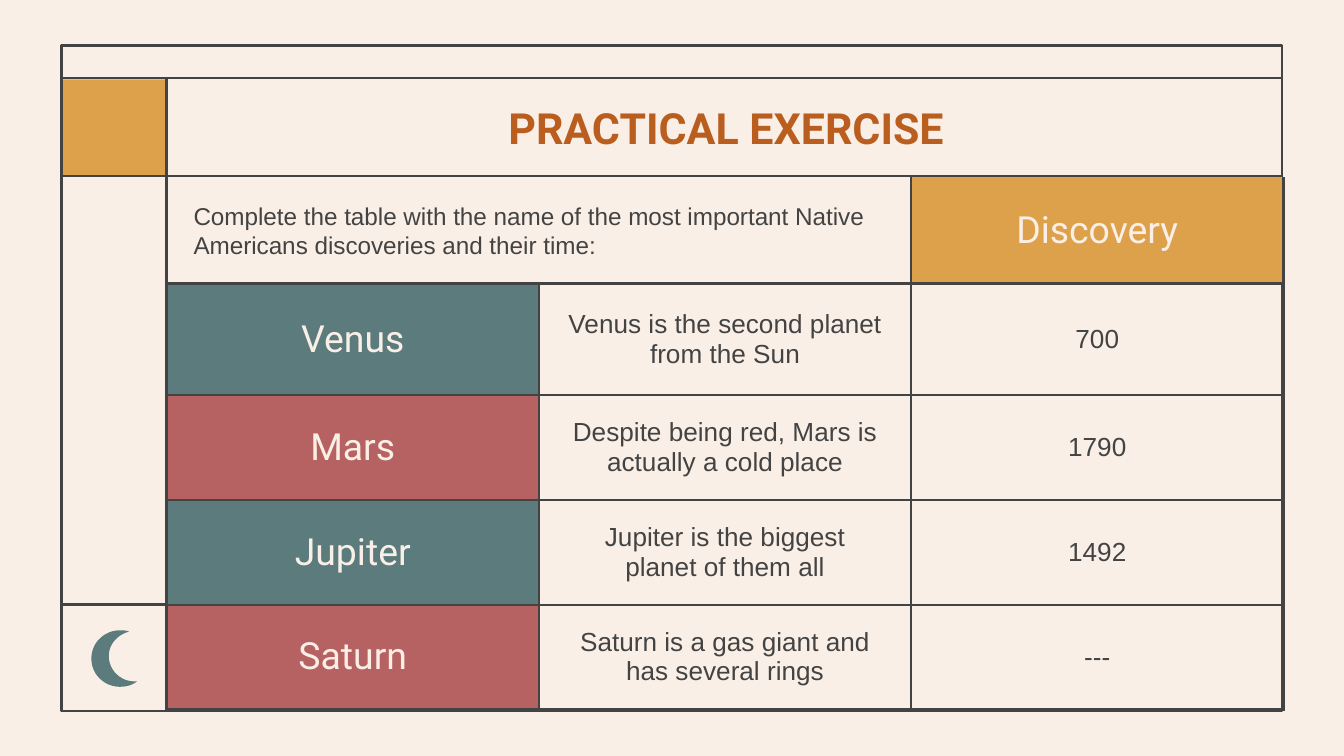
from lxml import etree
from pptx import Presentation
from pptx.dml.color import RGBColor
from pptx.enum.shapes import MSO_CONNECTOR, MSO_SHAPE
from pptx.enum.text import MSO_ANCHOR, PP_ALIGN
from pptx.oxml.ns import qn
from pptx.util import Inches, Pt

RECTANGLE, STRAIGHT = MSO_SHAPE.RECTANGLE, MSO_CONNECTOR.STRAIGHT
MIDDLE, LEFT, CENTER = MSO_ANCHOR.MIDDLE, PP_ALIGN.LEFT, PP_ALIGN.CENTER

# Content
CREAM, INK, GOLD = "FAEFE6", "434343", "DDA14B"
TEAL, ROSE, RUST = "5B7B7C", "B76262", "BA5E20"
TITLE = "PRACTICAL EXERCISE"
TASK = ("Complete the table with the name of the most important Native "
        "Americans discoveries and their time:")
ROWS = [
    ("", "", "Discovery"),
    ("Venus", "Venus is the second planet from the Sun", "700"),
    ("Mars", "Despite being red, Mars is actually a cold place", "1790"),
    ("Jupiter", "Jupiter is the biggest planet of them all", "1492"),
    ("Saturn", "Saturn is a gas giant and has several rings", "---"),
]

# Formats
TITLE_FORMAT = {"size": Pt(23), "name": "Roboto", "color": RUST, "bold": True}
LABEL_FORMAT = {"size": Pt(20), "name": "Roboto", "color": CREAM}
BODY_FORMAT = {"size": Pt(14), "name": "Arial", "color": INK}
TASK_FORMAT = {**BODY_FORMAT, "size": Pt(13)}

# Layout: a 16:9 page
PAGE_WIDTH = 10
PAGE_HEIGHT = PAGE_WIDTH * 9 / 16
FRAME_LEFT, FRAME_TOP, FRAME_WIDTH, FRAME_HEIGHT = 0.46, 0.34, 9.08, 4.95
FRAME_RIGHT, FRAME_BOTTOM = FRAME_LEFT + FRAME_WIDTH, FRAME_TOP + FRAME_HEIGHT
SIDE, TITLE_TOP, TABLE_TOP, MOON_TOP = 1.24, 0.58, 1.31, 4.5
COLUMN_WIDTH, ROW_HEIGHTS = 2.77, [0.79, 0.83, 0.78, 0.78, 0.78]
LINE_WIDTH = Pt(1.5)
LINES = [
    (SIDE, TITLE_TOP, SIDE, FRAME_BOTTOM),
    (FRAME_LEFT, MOON_TOP, SIDE, MOON_TOP),
    (FRAME_LEFT, TITLE_TOP, FRAME_RIGHT, TITLE_TOP),
    (FRAME_LEFT, TABLE_TOP, FRAME_RIGHT, TABLE_TOP),
]
MOON_START = (1.02, 5.07)
MOON_CURVES = [
    ((0.98, 5.1), (0.94, 5.11), (0.89, 5.11)),
    ((0.78, 5.11), (0.68, 5.02), (0.68, 4.9)),
    ((0.68, 4.78), (0.78, 4.69), (0.89, 4.69)),
    ((0.92, 4.69), (0.94, 4.69), (0.96, 4.7)),
    ((0.88, 4.72), (0.81, 4.79), (0.81, 4.88)),
    ((0.81, 4.99), (0.9, 5.07), (1, 5.07)),
    ((1.01, 5.07), (1.01, 5.07), (1.02, 5.07)),
]


def rgb(value):
    return RGBColor.from_string(value)


def paint(fill, color):
    fill.solid()
    fill.fore_color.rgb = rgb(color)


def write(frame, text, style, align):
    para = frame.paragraphs[0]
    para.alignment = align
    span = para.add_run()
    span.text = text
    for key, value in style.items():
        if key == "color":
            span.font.color.rgb = rgb(value)
        else:
            setattr(span.font, key, value)


def set_margins(target, side):
    target.margin_left = target.margin_right = Inches(side)
    target.margin_top = target.margin_bottom = Inches(0.1)


def add_rectangle(page, left, top, width, height, fill=None, line=None):
    box = page.shapes.add_shape(RECTANGLE, *map(Inches, (left, top, width, height)))
    box.shadow.inherit = False
    if fill:
        paint(box.fill, fill)
    else:
        box.fill.background()
    if line:
        box.line.color.rgb = rgb(line)
        box.line.width = LINE_WIDTH
    else:
        box.line.fill.background()


def add_text(page, left, top, width, height, text, style, align, indent):
    box = page.shapes.add_textbox(*map(Inches, (left, top, width, height)))
    frame = box.text_frame
    frame.word_wrap = True
    frame.vertical_anchor = MIDDLE
    set_margins(frame, 0.1)
    frame.margin_left = Inches(indent)
    write(frame, text, style, align)


def add_line(page, *ends):
    line = page.shapes.add_connector(STRAIGHT, *map(Inches, ends))
    line.line.color.rgb = rgb(INK)
    line.line.width = LINE_WIDTH
    etree.SubElement(line._element.spPr, qn("a:effectLst"))


def add_moon(page):
    points, start = [], MOON_START
    for first, second, end in MOON_CURVES:
        for step in range(1, 13):
            t = step / 12
            weights = ((1 - t) ** 3, 3 * t * (1 - t) ** 2, 3 * t * t * (1 - t), t ** 3)
            corners = (start, first, second, end)
            points.append(tuple(Inches(sum(w * p[axis] for w, p in zip(weights, corners)))
                                for axis in (0, 1)))
        start = end
    builder = page.shapes.build_freeform(*map(Inches, MOON_START))
    builder.add_line_segments(points, close=True)
    moon = builder.convert_to_shape()
    moon.shadow.inherit = False
    paint(moon.fill, TEAL)
    moon.line.fill.background()


def set_borders(cell, open_sides):
    props = cell._tc.get_or_add_tcPr()
    for side in "LRTB":
        line = etree.SubElement(props, qn(f"a:ln{side}"), w=str(LINE_WIDTH))
        if side in open_sides:
            etree.SubElement(line, qn("a:noFill"))
        else:
            fill = etree.SubElement(line, qn("a:solidFill"))
            etree.SubElement(fill, qn("a:srgbClr"), val=INK)


def add_planet_table(page):
    columns = len(ROWS[0])
    holder = page.shapes.add_table(
        len(ROWS), columns, Inches(SIDE), Inches(1.32),
        Inches(COLUMN_WIDTH * columns), Inches(sum(ROW_HEIGHTS)))
    table = holder.table
    table.first_row = table.horz_banding = False
    for column in table.columns:
        column.width = Inches(COLUMN_WIDTH)
    for r, (row, height) in enumerate(zip(ROWS, ROW_HEIGHTS)):
        table.rows[r].height = Inches(height)
        for c, text in enumerate(row):
            cell = table.cell(r, c)
            # The task text spans the first two cells of the top row
            set_borders(cell, {(0, 0): "LTR", (0, 1): "LT", (0, 2): "T"}.get((r, c), ""))
            cell.vertical_anchor = MIDDLE
            set_margins(cell, 0.2 if c == 1 else 0.1)
            is_label = bool(text) and (r == 0 or c == 0)
            if is_label:
                paint(cell.fill, GOLD if r == 0 else (ROSE, TEAL)[r % 2])
            else:
                cell.fill.background()
            if text:
                write(cell.text_frame, text, LABEL_FORMAT if is_label else BODY_FORMAT, CENTER)


def main():
    deck = Presentation()
    deck.slide_width, deck.slide_height = Inches(PAGE_WIDTH), Inches(PAGE_HEIGHT)
    page = deck.slides.add_slide(deck.slide_layouts[6])
    paint(page.background.fill, CREAM)

    # Frame, moon and gold corner
    add_rectangle(page, FRAME_LEFT, FRAME_TOP, FRAME_WIDTH, FRAME_HEIGHT, line=INK)
    add_moon(page)
    add_rectangle(page, 0.47, 0.59, 0.76, 0.72, fill=GOLD)

    # Title, table and task
    add_text(page, 1.35, 0.68, 8.11, 0.53, TITLE, TITLE_FORMAT, CENTER, 0.1)
    add_planet_table(page)
    add_text(page, SIDE, 1.32, 2 * COLUMN_WIDTH, ROW_HEIGHTS[0], TASK, TASK_FORMAT, LEFT, 0.2)

    # Dividing lines
    for ends in LINES:
        add_line(page, *ends)
    deck.save("out.pptx")


if __name__ == "__main__":
    main()
